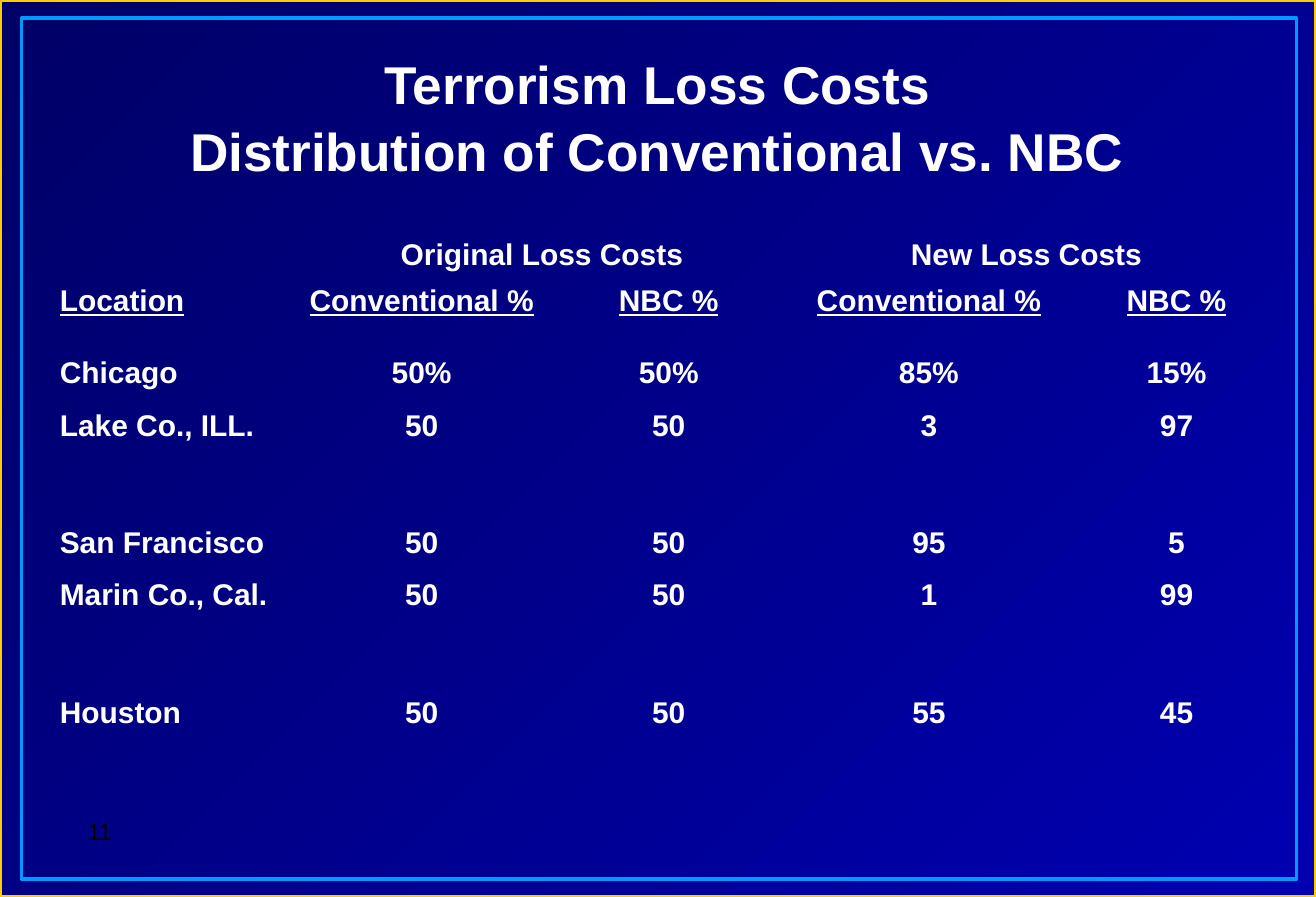
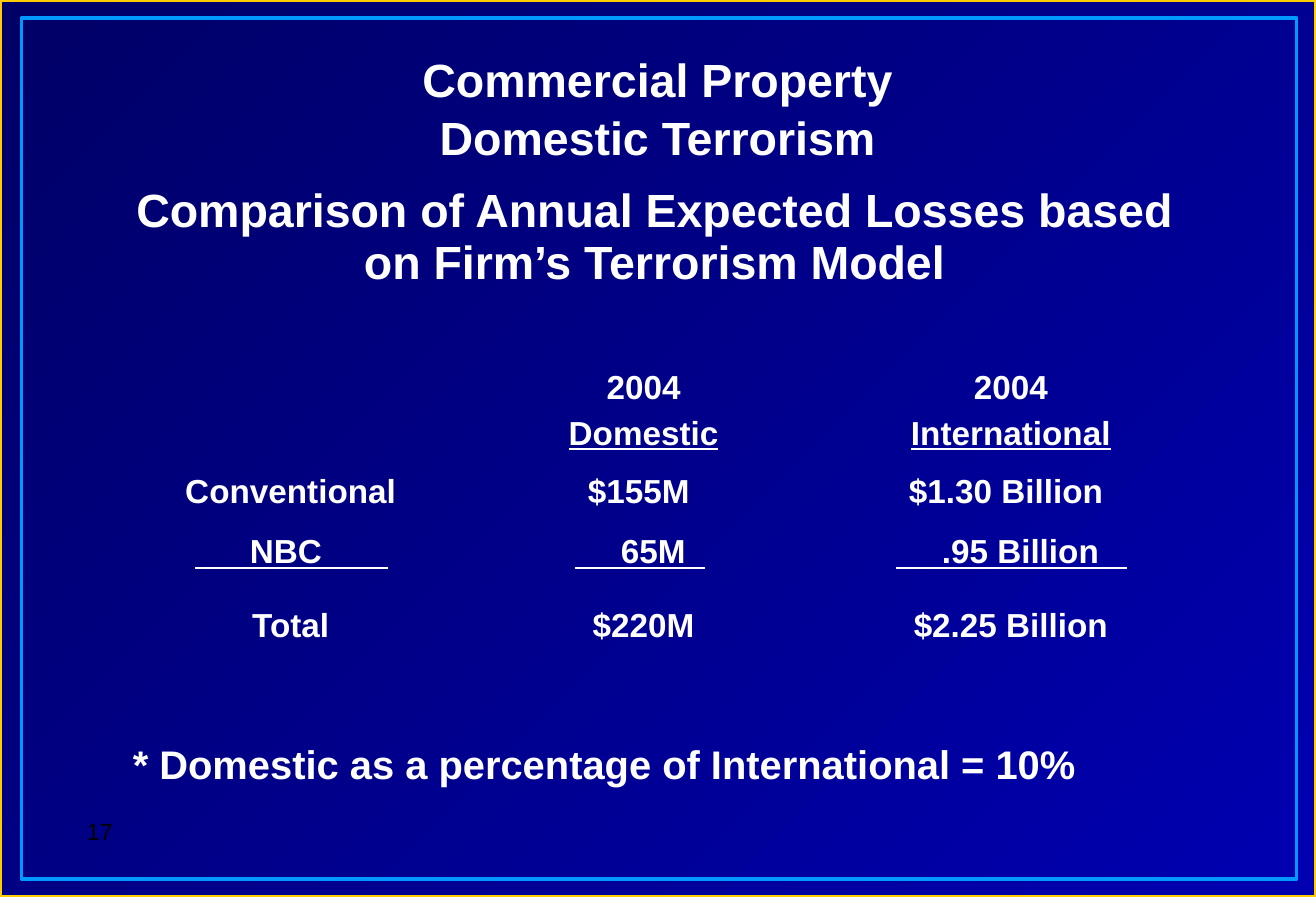
from pptx import Presentation
from pptx.dml.color import RGBColor
from pptx.enum.shapes import MSO_CONNECTOR as Link, MSO_SHAPE as Shape
from pptx.enum.text import MSO_ANCHOR as Anchor, PP_ALIGN as Align
from pptx.oxml.ns import qn
from pptx.util import Inches, Pt
from lxml import etree

WHITE = RGBColor(0xFF, 0xFF, 0xFF)
BLACK = RGBColor(0, 0, 0)
GOLD = RGBColor(0xFF, 0xCC, 0x00)
SKY = RGBColor(0x00, 0x99, 0xFF)
NAVY = RGBColor(0x00, 0x00, 0x66)
BLUE = RGBColor(0x00, 0x00, 0xB0)
FONT = "Arial"
NO_GRID = "{2D5ABB26-0587-4C30-8999-92F81FD0307C}"

WIDE, HIGH = 11, 7.5
FRAMES = [((0, 0, WIDE, HIGH), GOLD), ((0.18, 0.15, 10.66, 7.2), SKY)]

COSTS = {
    "page": "11",
    "size": 32,
    "title": ["Terrorism Loss Costs",
              "Distribution of Conventional vs. NBC"],
    "groups": [["Original Loss Costs", "New Loss Costs"]],
    "rows": [
        ["Location", "Conventional %", "NBC %", "Conventional %", "NBC %"],
        ["Chicago", "50%", "50%", "85%", "15%"],
        ["Lake Co., ILL.", "50", "50", "3", "97"],
        [""] * 5,
        ["San Francisco", "50", "50", "95", "5"],
        ["Marin Co., Cal.", "50", "50", "1", "99"],
        [""] * 5,
        ["Houston", "50", "50", "55", "45"],
    ],
}

LOSSES = {
    "page": "17",
    "size": 28,
    "title": ["Commercial Property", "Domestic Terrorism"],
    "lead": "Comparison of Annual Expected Losses based on Firm’s Terrorism Model",
    "rows": [
        ["", "2004\nDomestic", "2004\nInternational"],
        ["Conventional", "$155M", "$1.30 Billion"],
        ["NBC", "65M", ".95 Billion"],
        ["Total", "$220M", "$2.25 Billion"],
    ],
    "note": "* Domestic as a percentage of International = 10%",
}
SUM_Y = 4.75
SUM_LINES = [(1.63, 3.24), (4.81, 5.89), (7.49, 9.42)]


def box(at):
    return [Inches(v) for v in at]


def add_run(para, text, size, color=WHITE, bold=True, under=False):
    run = para.add_run()
    run.text = text
    font = run.font
    font.name, font.size, font.bold = FONT, Pt(size), bold
    font.color.rgb = color
    if under:
        font.underline = True


def text_box(slide, at):
    """Add a centred text box and return its first paragraph."""
    frame = slide.shapes.add_textbox(*box(at)).text_frame
    frame.word_wrap = True
    frame.vertical_anchor = Anchor.TOP
    para = frame.paragraphs[0]
    para.alignment = Align.CENTER
    return para


def add_base(deck, data):
    """Add a slide with the shared background, frames, number and title."""
    slide = deck.slides.add_slide(deck.slide_layouts[6])
    fill = slide.background.fill
    fill.gradient()
    fill.gradient_angle = 315
    for stop, color, pos in zip(fill.gradient_stops, (NAVY, BLUE), (0, 1)):
        stop.color.rgb = color
        stop.position = pos

    for at, color in FRAMES:
        rect = slide.shapes.add_shape(Shape.RECTANGLE, *box(at))
        rect.shadow.inherit = False
        rect.fill.background()
        rect.line.color.rgb = color
        rect.line.width = Pt(2)

    para = text_box(slide, (-0.45, 6.78, 2.57, 0.52))
    add_run(para, data["page"], 14, BLACK, bold=False)

    para = text_box(slide, (0.82, 0.35, 9.35, 1.08))
    para.line_spacing = 1.05
    for i, line in enumerate(data["title"]):
        if i:
            para.add_line_break()
        add_run(para, line, data["size"])
    return slide


def add_grid(slide, spot, cols, highs, rows, size, left=(), heads=False,
             shifts=None):
    """Add a plain table.

    left holds the columns set flush left, heads underlines the last line
    of the first row, and shifts moves centred text sideways by cell.
    """
    shifts = shifts or {}
    at = (*spot, sum(cols), sum(highs))
    shape = slide.shapes.add_table(len(rows), len(cols), *box(at))
    grid = shape.table
    grid.first_row = grid.horz_banding = False
    grid._tbl.tblPr.find(qn("a:tableStyleId")).text = NO_GRID
    for col, wide in zip(grid.columns, cols):
        col.width = Inches(wide)
    for r, (row, high) in enumerate(zip(rows, highs)):
        grid.rows[r].height = Inches(high)
        for c, text in enumerate(row):
            cell = grid.cell(r, c)
            cell.fill.background()
            cell.vertical_anchor = Anchor.TOP
            move = shifts.get((r, c), 0)
            cell.margin_left = Inches(0.1 + 2 * max(move, 0))
            cell.margin_right = Inches(0.1 + 2 * max(-move, 0))
            lines = text.split("\n") if text else []
            for i, line in enumerate(lines):
                frame = cell.text_frame
                para = frame.add_paragraph() if i else frame.paragraphs[0]
                para.alignment = Align.LEFT if c in left else Align.CENTER
                para.space_before = Pt(size / 4)
                last = i == len(lines) - 1
                add_run(para, line, size, under=heads and r == 0 and last)


def add_rule(slide, x1, x2, y):
    rule = slide.shapes.add_connector(
        Link.STRAIGHT, *box((x1, y, x2, y)))
    rule.line.color.rgb = WHITE
    rule.line.width = Pt(1.25)
    etree.SubElement(rule._element.spPr, qn("a:effectLst"))


def costs_slide(deck):
    slide = add_base(deck, COSTS)
    add_grid(slide, (2.41, 1.94), [3.84, 4.46], [0.77], COSTS["groups"], 18,
             shifts={(0, 0): 0.2, (0, 1): 0.1})
    rows = COSTS["rows"]
    highs = [0.6] + [0.44 if row[0] else 0.54 for row in rows[1:]]
    add_grid(slide, (0.4, 2.33), [2.02, 2.21, 1.92, 2.43, 1.71], highs,
             rows, 18, left=(0,), heads=True)


def losses_slide(deck):
    slide = add_base(deck, LOSSES)
    add_grid(slide, (0.81, 1.5), [9.32], [1.28], [[LOSSES["lead"]]], 28)
    shifts = {(1, c): -0.04 for c in range(3)}
    shifts |= {(2, 0): -0.08, (2, 1): 0.08, (2, 2): 0.08, (3, 0): -0.04}
    add_grid(slide, (1.2, 3.04), [2.54, 3.28, 2.86], [0.87, 0.5, 0.62, 0.55],
             LOSSES["rows"], 20, heads=True, shifts=shifts)
    for x1, x2 in SUM_LINES:
        add_rule(slide, x1, x2, SUM_Y)
    add_grid(slide, (1.01, 6.17), [8.48], [0.5], [[LOSSES["note"]]], 24,
             left=(0,))


def main():
    deck = Presentation()
    deck.slide_width, deck.slide_height = Inches(WIDE), Inches(HIGH)
    costs_slide(deck)
    losses_slide(deck)
    deck.save("out.pptx")


if __name__ == "__main__":
    main()
